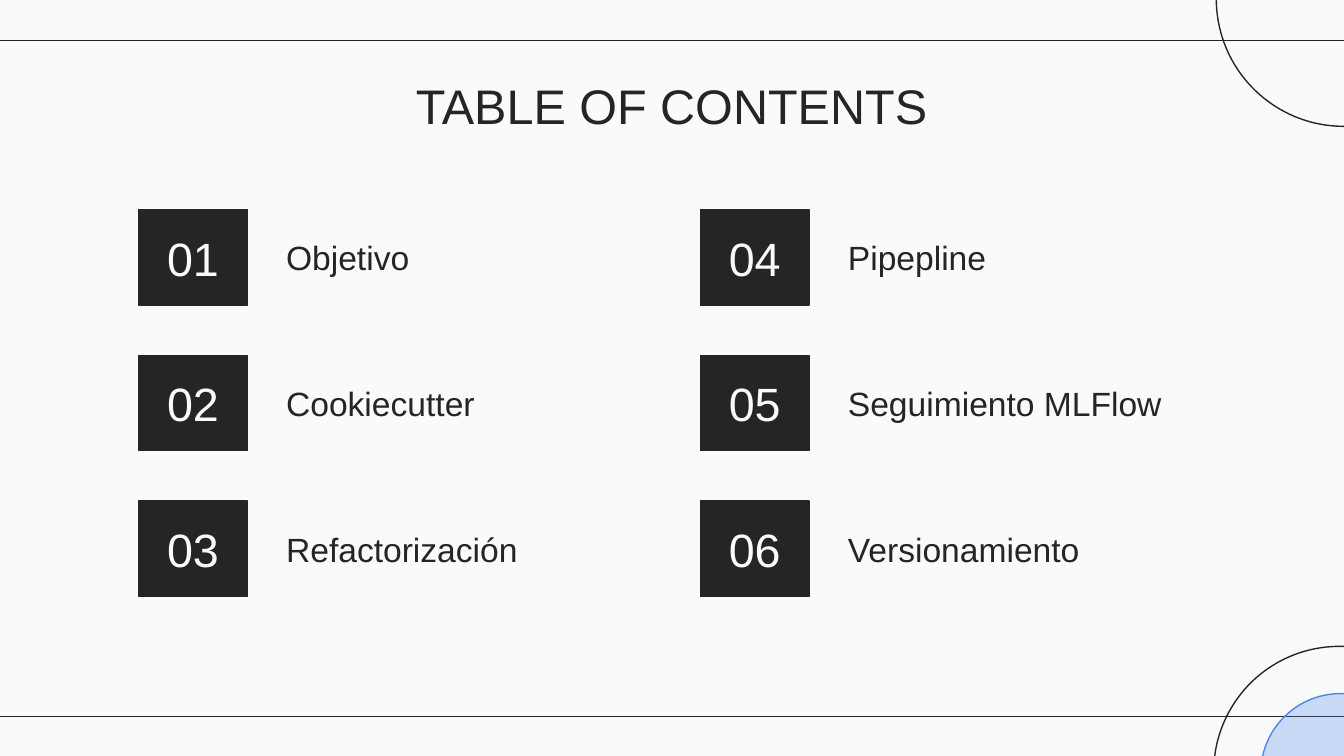
from lxml import etree
from pptx import Presentation
from pptx.dml.color import RGBColor
from pptx.enum.shapes import MSO_CONNECTOR, MSO_SHAPE
from pptx.enum.text import MSO_ANCHOR, MSO_AUTO_SIZE, PP_ALIGN
from pptx.oxml.ns import qn
from pptx.util import Pt

RECT, OVAL = MSO_SHAPE.RECTANGLE, MSO_SHAPE.OVAL
STRAIGHT = MSO_CONNECTOR.STRAIGHT
MIDDLE = MSO_ANCHOR.MIDDLE
LEFT, CENTER = PP_ALIGN.LEFT, PP_ALIGN.CENTER
NO_FIT = MSO_AUTO_SIZE.NONE

DARK = RGBColor(0x26, 0x24, 0x25)
LIGHT = RGBColor(0xF8, 0xFA, 0xFB)
BLUE = RGBColor(0x4A, 0x86, 0xE8)
FONT = "Arial"
STROKE = 0.75

TITLE = "TABLE OF CONTENTS"
TOPICS = [
    "Objetivo", "Cookiecutter", "Refactorización",
    "Pipepline", "Seguimiento MLFlow", "Versionamiento",
]
RULES = [21.6, 383.8]
# center x, center y, radius, line color, fill opacity in percent
RINGS = [
    (717.5, 413.6, 67.3, DARK, 0),
    (718.2, 414.4, 42.8, BLUE, 27),
    (720, -0.7, 68.4, DARK, 0),
]

WIDTH, HEIGHT = 720, 405
ROWS = 3
GRID_X, GRID_Y = 74.2, 112.3
STEP_X, STEP_Y = 301, 78.1
BOX_W, BOX_H = 58.3, 51.1
LABEL_DX, LABEL_W = 72, 216


def write(shape, text, size, color, align):
    frame = shape.text_frame
    frame.text = text
    frame.word_wrap = True
    frame.auto_size = NO_FIT
    frame.vertical_anchor = MIDDLE
    frame.margin_left = frame.margin_right = Pt(7.2)
    frame.margin_top = frame.margin_bottom = Pt(7.2)
    para = frame.paragraphs[0]
    para.alignment = align
    para.font.name = FONT
    para.font.size = Pt(size)
    para.font.color.rgb = color


def add_rule(slide, y):
    rule = slide.shapes.add_connector(
        STRAIGHT, Pt(WIDTH + 1.4), Pt(y), Pt(-1.4), Pt(y))
    rule.line.color.rgb = DARK
    rule.line.width = Pt(STROKE)
    etree.SubElement(rule._element.spPr, qn("a:effectLst"))


def add_solid(slide, kind, x, y, w, h, color):
    shape = slide.shapes.add_shape(kind, Pt(x), Pt(y), Pt(w), Pt(h))
    shape.shadow.inherit = False
    shape.fill.solid()
    shape.fill.fore_color.rgb = color
    shape.line.color.rgb = color
    shape.line.width = Pt(STROKE)
    return shape


def add_ring(slide, x, y, r, color, opacity):
    ring = add_solid(slide, OVAL, x - r, y - r, 2 * r, 2 * r, color)
    if opacity:
        tint = ring._element.spPr.find(qn("a:solidFill"))[0]
        etree.SubElement(tint, qn("a:alpha"), val=str(opacity * 1000))
    else:
        ring.fill.background()


def add_topic(slide, index, topic):
    col, row = divmod(index, ROWS)
    x, y = GRID_X + col * STEP_X, GRID_Y + row * STEP_Y
    box = add_solid(slide, RECT, x, y, BOX_W, BOX_H, DARK)
    write(box, f"{index + 1:02}", 25, LIGHT, CENTER)
    label = slide.shapes.add_textbox(
        Pt(x + LABEL_DX), Pt(y), Pt(LABEL_W), Pt(BOX_H))
    write(label, topic, 18, DARK, LEFT)


def main():
    deck = Presentation()
    deck.slide_width, deck.slide_height = Pt(WIDTH), Pt(HEIGHT)
    slide = deck.slides.add_slide(deck.slide_layouts[5])
    slide.background.fill.solid()
    slide.background.fill.fore_color.rgb = LIGHT

    for y in RULES:
        add_rule(slide, y)
    for ring in RINGS:
        add_ring(slide, *ring)

    title = slide.shapes.title
    title.left, title.top = Pt(56.7), Pt(32.4)
    title.width, title.height = Pt(606.6), Pt(48.2)
    write(title, TITLE, 26, DARK, CENTER)

    for index, topic in enumerate(TOPICS):
        add_topic(slide, index, topic)
    deck.save("out.pptx")


if __name__ == "__main__":
    main()
